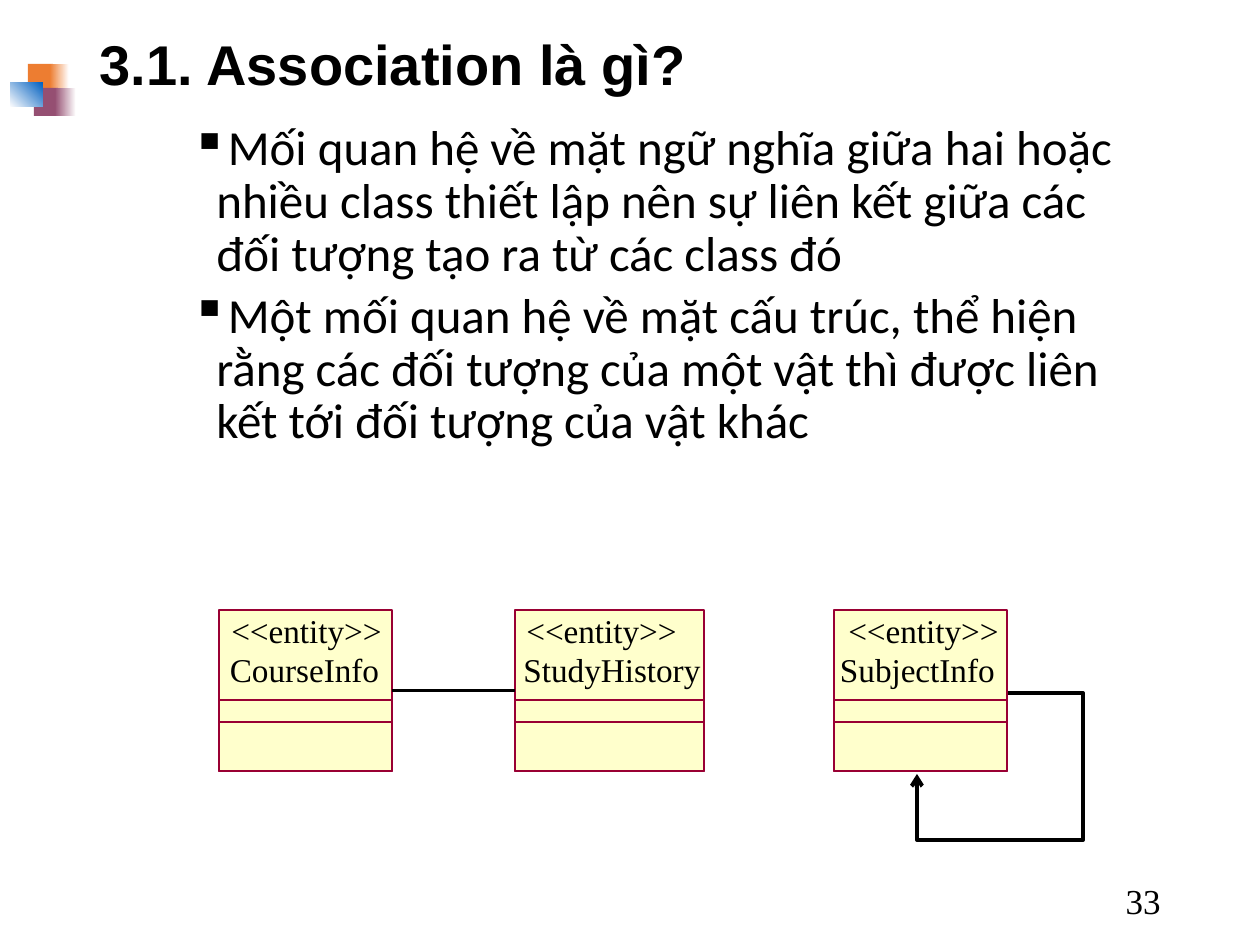
from lxml.etree import SubElement
from pptx import Presentation
from pptx.dml.color import RGBColor
from pptx.enum.shapes import MSO_CONNECTOR, MSO_SHAPE
from pptx.enum.text import MSO_ANCHOR, MSO_AUTO_SIZE, PP_ALIGN
from pptx.oxml.ns import qn
from pptx.util import Emu, Pt

COLORS = {
    "text": "000000", "white": "FFFFFF", "orange": "ED7D31", "plum": "954F72",
    "blue": "0563C1", "class_fill": "FFFFCC", "class_line": "990033",
}
SERIF = "Times New Roman"
BULLETS = [
    "Mối quan hệ về mặt ngữ nghĩa giữa hai hoặc nhiều class thiết lập nên "
    "sự liên kết giữa các đối tượng tạo ra từ các class đó",
    "Một mối quan hệ về mặt cấu trúc, thể hiện rằng các đối tượng của một vật "
    "thì được liên kết tới đối tượng của vật khác",
]


def px(value):
    return Emu(round(value * 914400 / 126))


def color(name):
    return RGBColor.from_string(COLORS[name])


def set_font(paragraph, name, size, bold=False):
    paragraph.font.name = name
    paragraph.font.size = Pt(size)
    paragraph.font.bold = bold
    paragraph.font.color.rgb = color("text")


def add_rectangle(slide, box, fill=None, line=None):
    shape = slide.shapes.add_shape(MSO_SHAPE.RECTANGLE, *map(px, box))
    shape.shadow.inherit = False
    if fill:
        shape.fill.solid()
        shape.fill.fore_color.rgb = color(fill)
    else:
        shape.fill.background()
    if line:
        shape.line.color.rgb = color(line)
        shape.line.width = Pt(0)
    else:
        shape.line.fill.background()
    return shape


def add_label(slide, box, text, size, align, inset=None, wrap=True):
    frame = slide.shapes.add_textbox(*map(px, box)).text_frame
    frame.word_wrap = wrap
    if inset is not None:
        frame.margin_left = frame.margin_right = px(inset)
        frame.margin_top = frame.margin_bottom = px(inset)
    paragraph = frame.paragraphs[0]
    paragraph.text = text
    paragraph.alignment = align
    set_font(paragraph, SERIF, size)
    return frame


def add_gradient(slide, box, start, end, angle):
    fill = add_rectangle(slide, box, start).fill
    fill.gradient()
    fill.gradient_angle = angle
    for stop, name in zip(fill.gradient_stops, (start, end)):
        stop.color.rgb = color(name)


def add_ornament(slide, left, top):
    # Two bars fading to the right, with a blue block over them
    for name, x, y, solid, fade in (("orange", 18, 0, 25, 19), ("plum", 24, 24, 24, 21)):
        add_rectangle(slide, (left + x, top + y, solid, 28), name)
        add_gradient(slide, (left + x + solid - 3, top + y, fade, 28), name, "white", 0)
    add_gradient(slide, (left, top + 19, 33, 24), "white", "blue", 45)


def add_title(slide, box, text):
    title = slide.shapes.title
    title.left, title.top, title.width, title.height = map(px, box)
    frame = title.text_frame
    frame.auto_size = MSO_AUTO_SIZE.NONE
    frame.vertical_anchor = MSO_ANCHOR.MIDDLE
    paragraph = frame.paragraphs[0]
    paragraph.text = text
    paragraph.alignment = PP_ALIGN.LEFT
    paragraph.line_spacing = 0.9
    set_font(paragraph, "Arial", 32, bold=True)


def add_bullets(slide, box, texts):
    frame = slide.shapes.add_textbox(*map(px, box)).text_frame
    frame.word_wrap = True
    for index, text in enumerate(texts):
        paragraph = frame.add_paragraph() if index else frame.paragraphs[0]
        paragraph.text = text
        properties = paragraph._p.get_or_add_pPr()
        properties.set("marL", str(px(117)))
        properties.set("indent", str(px(-25)))
        bullet_color = SubElement(properties, qn("a:buClr"))
        SubElement(bullet_color, qn("a:srgbClr"), val=COLORS["text"])
        SubElement(properties, qn("a:buChar"), char="▪")
        paragraph.line_spacing = 0.9
        if index:
            paragraph.space_before = Pt(5)
        set_font(paragraph, "Calibri", 28)


def add_class(slide, box, name, name_box, name_align, stereotype_left):
    left, top, width, height = box
    name_left, name_width = name_box
    body = add_rectangle(slide, box, "class_fill", "class_line")
    # Attribute and operation compartments
    for offset in (90, 112):
        add_rectangle(slide, (left, top + offset, width, height - offset), line="class_line")
    add_label(slide, (left + stereotype_left, top, 157, 40), "<<entity>>", 19,
              PP_ALIGN.CENTER, inset=0, wrap=False)
    add_label(slide, (left + name_left, top + 39, name_width, 40), name, 19,
              name_align, inset=0, wrap=name_align == PP_ALIGN.CENTER)
    return body


def style_line(shape):
    shape.line.color.rgb = color("text")
    shape.line.width = Pt(2.25)


def add_self_association(slide, left, top, width, height):
    # From behind the class box, round its corner and back up to its bottom edge
    builder = slide.shapes.build_freeform(px(left + 83), px(top))
    points = [(left + width, top), (left + width, top + height),
              (left, top + height), (left, top + 81)]
    builder.add_line_segments([(px(x), px(y)) for x, y in points], close=False)
    loop = builder.convert_to_shape()
    loop.shadow.inherit = False
    loop.fill.background()
    style_line(loop)
    SubElement(loop.line._get_or_add_ln(), qn("a:tailEnd"), type="arrow")


def add_association(slide, start, end):
    connector = slide.shapes.add_connector(MSO_CONNECTOR.STRAIGHT, 0, 0, 0, 0)
    connector.begin_connect(start, 3)
    connector.end_connect(end, 1)
    style_line(connector)
    SubElement(connector._element.spPr, qn("a:effectLst"))


def add_class_diagram(slide, left, top):
    add_self_association(slide, left + 698, top + 83, 166, 147)
    add_class(slide, (left + 615, top, 173, 161), "SubjectInfo", (6, 156), PP_ALIGN.LEFT, 11)
    course = add_class(slide, (left, top, 173, 161), "CourseInfo", (1, 169),
                       PP_ALIGN.CENTER, 9)
    history = add_class(slide, (left + 296, top, 189, 161), "StudyHistory", (-2, 198),
                        PP_ALIGN.CENTER, 8)
    add_association(slide, course, history)


def main():
    presentation = Presentation()
    presentation.slide_width, presentation.slide_height = px(1260), px(945)
    slide = presentation.slides.add_slide(presentation.slide_layouts[5])
    add_ornament(slide, 10, 64)
    add_title(slide, (87, 16, 1086, 102), "3.1. Association là gì?")
    add_bullets(slide, (87, 117, 1086, 713), BULLETS)
    add_class_diagram(slide, 219, 610)
    # Slide number
    number = add_label(slide, (890, 876, 283, 50), "33", 20, PP_ALIGN.RIGHT)
    number.vertical_anchor = MSO_ANCHOR.MIDDLE
    presentation.save("out.pptx")


if __name__ == "__main__":
    main()
